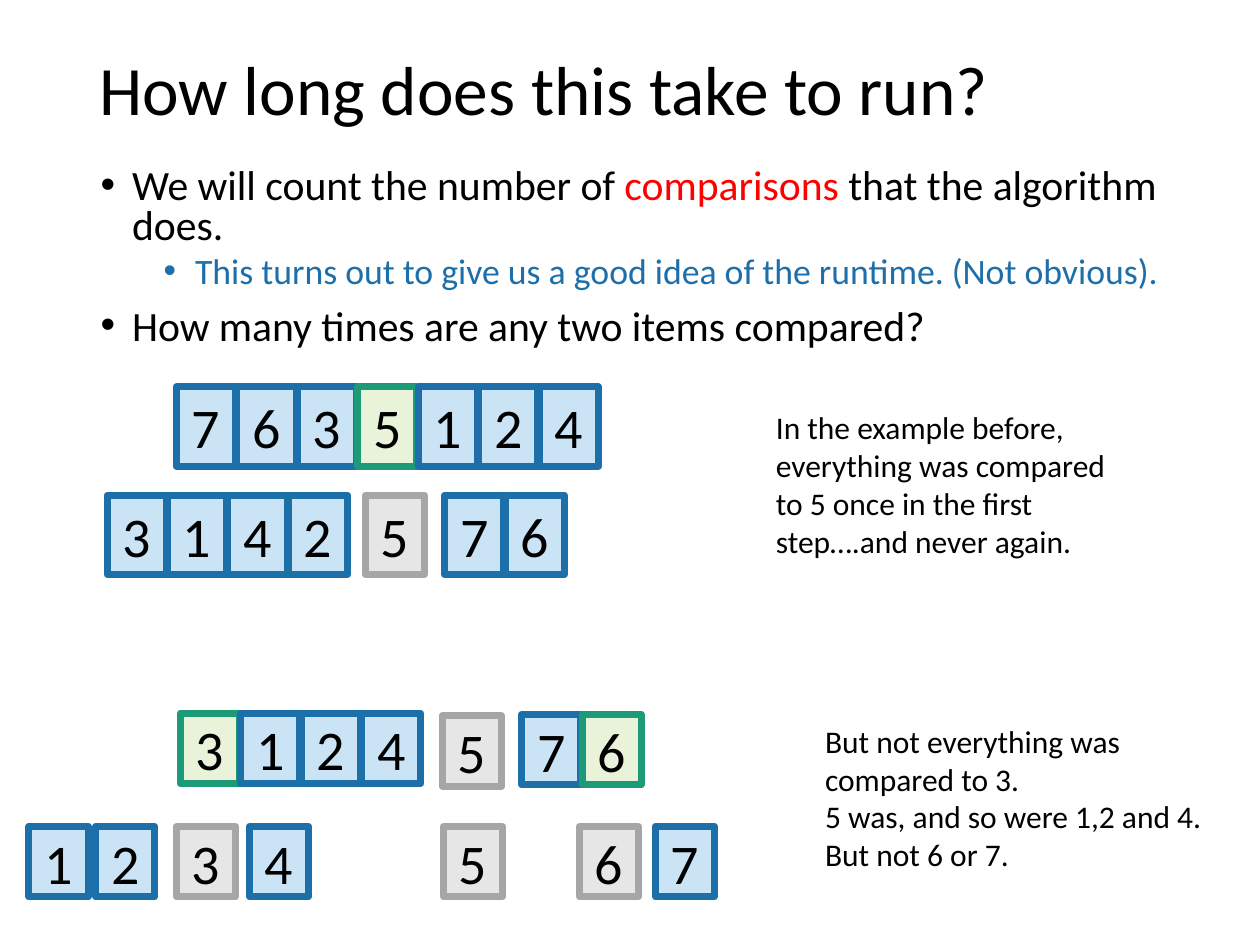
from dataclasses import dataclass

from lxml import etree
from pptx import Presentation
from pptx import util as u
from pptx.dml.color import RGBColor
from pptx.enum import shapes, text
from pptx.oxml.ns import qn


@dataclass(frozen=True)
class Theme:
    font: str = "Calibri"
    ink: str = "000000"
    red: str = "FF0000"
    blue: str = "1D6FA9"
    title_size: float = 39.6
    body_size: float = 23.8
    sub_size: float = 20.4
    digit_size: float = 32
    note_size: float = 18
    border: float = 4
    # cell state: (fill, line)
    item: tuple = ("CAE4F6", "1D6FA9")
    pivot: tuple = ("E8F3DA", "1D9A78")
    placed: tuple = ("E7E6E6", "A6A6A6")


class ArraySlide:
    cell_width = 0.47
    cell_step = 0.48

    def __init__(self, slide, theme):
        self.slide = slide
        self.theme = theme

    def run(self, paragraph, words, size, color=None):
        run = paragraph.add_run()
        run.text = words
        run.font.name = self.theme.font
        run.font.size = u.Pt(size)
        run.font.color.rgb = RGBColor.from_string(color or self.theme.ink)

    def text_box(self, left, top, width, height, anchor=text.MSO_ANCHOR.TOP):
        shape = self.slide.shapes.add_textbox(
            u.Inches(left), u.Inches(top), u.Inches(width), u.Inches(height))
        frame = shape.text_frame
        frame.word_wrap = True
        frame.vertical_anchor = anchor
        return frame

    def title(self, words):
        frame = self.text_box(0.69, 0.4, 8.62, 0.68, text.MSO_ANCHOR.MIDDLE)
        paragraph = frame.paragraphs[0]
        paragraph.line_spacing = 0.9
        self.run(paragraph, words, self.theme.title_size)

    def bullet(self, paragraph, margin, space_before):
        properties = paragraph._p.get_or_add_pPr()
        properties.set("marL", str(u.Inches(margin)))
        properties.set("indent", str(u.Inches(-0.25)))
        etree.SubElement(properties, qn("a:buFont"), typeface="Arial")
        etree.SubElement(properties, qn("a:buChar"), char="•")
        paragraph.line_spacing = 0.8
        paragraph.space_before = u.Pt(space_before)

    def bullets(self, items):
        """Each item is (level, size, [(words, color), ...])."""
        frame = self.text_box(0.7, 1.29, 8.62, 1.7)
        for index, (level, size, runs) in enumerate(items):
            paragraph = frame.add_paragraph() if index else frame.paragraphs[0]
            paragraph.level = level
            gap = (5 if level else 10) if index else 0
            self.bullet(paragraph, 0.25 + 0.5 * level, gap)
            for words, color in runs:
                self.run(paragraph, words, size, color)

    def note(self, left, top, width, lines):
        frame = self.text_box(left, top, width, 1.31)
        for index, line in enumerate(lines):
            paragraph = frame.add_paragraph() if index else frame.paragraphs[0]
            self.run(paragraph, line, self.theme.note_size)

    def cell(self, left, top, height, digit, state):
        fill, line = state
        shape = self.slide.shapes.add_shape(
            shapes.MSO_SHAPE.RECTANGLE, u.Inches(left), u.Inches(top),
            u.Inches(self.cell_width), u.Inches(height))
        shape.shadow.inherit = False
        shape.fill.solid()
        shape.fill.fore_color.rgb = RGBColor.from_string(fill)
        shape.line.color.rgb = RGBColor.from_string(line)
        shape.line.width = u.Pt(self.theme.border)
        frame = shape.text_frame
        frame.vertical_anchor = text.MSO_ANCHOR.MIDDLE
        paragraph = frame.paragraphs[0]
        paragraph.alignment = text.PP_ALIGN.CENTER
        self.run(paragraph, digit, self.theme.digit_size)

    def array(self, left, top, height, digits, pivot="", placed=False):
        """Draw adjoining cells, one for each digit."""
        for index, digit in enumerate(digits):
            state = self.theme.placed if placed else self.theme.item
            if digit == pivot:
                state = self.theme.pivot
            self.cell(left + index * self.cell_step, top, height, digit, state)


def main():
    presentation = Presentation()
    presentation.slide_width = u.Inches(10)
    presentation.slide_height = u.Inches(7.5)
    theme = Theme()
    page = ArraySlide(
        presentation.slides.add_slide(presentation.slide_layouts[6]), theme)

    page.title("How long does this take to run?")
    page.bullets([
        (0, theme.body_size, [
            ("We will count the number of ", theme.ink),
            ("comparisons", theme.red),
            (" that the algorithm does.", theme.ink)]),
        (1, theme.sub_size, [
            ("This turns out to give us a good idea of the runtime. "
             "(Not obvious).", theme.blue)]),
        (0, theme.body_size, [
            ("How many times are any two items compared?", theme.ink)]),
    ])

    tall, short = 0.63, 0.56
    page.array(1.4, 3.07, tall, "7635124", pivot="5")

    page.array(0.85, 3.93, tall, "3142")
    page.array(2.9, 3.93, tall, "5", placed=True)
    page.array(3.53, 3.93, tall, "76")
    page.note(6.06, 3.19, 3.07, [
        "In the example before, everything was compared to 5 once "
        "in the first step….and never again."])

    page.array(1.43, 5.66, short, "3124", pivot="3")
    page.array(3.51, 5.68, short, "5", placed=True)
    page.array(4.14, 5.67, short, "76", pivot="6")

    for left, digit in ((0.23, "1"), (0.76, "2"), (1.98, "4"), (5.2, "7")):
        page.array(left, 6.56, short, digit)
    for left, digit in ((1.4, "3"), (3.52, "5"), (4.6, "6")):
        page.array(left, 6.56, short, digit, placed=True)
    page.note(6.45, 5.68, 3.42, [
        "But not everything was compared to 3.",
        "5 was, and so were 1,2 and 4.",
        "But not 6 or 7."])

    presentation.save("out.pptx")


if __name__ == "__main__":
    main()
